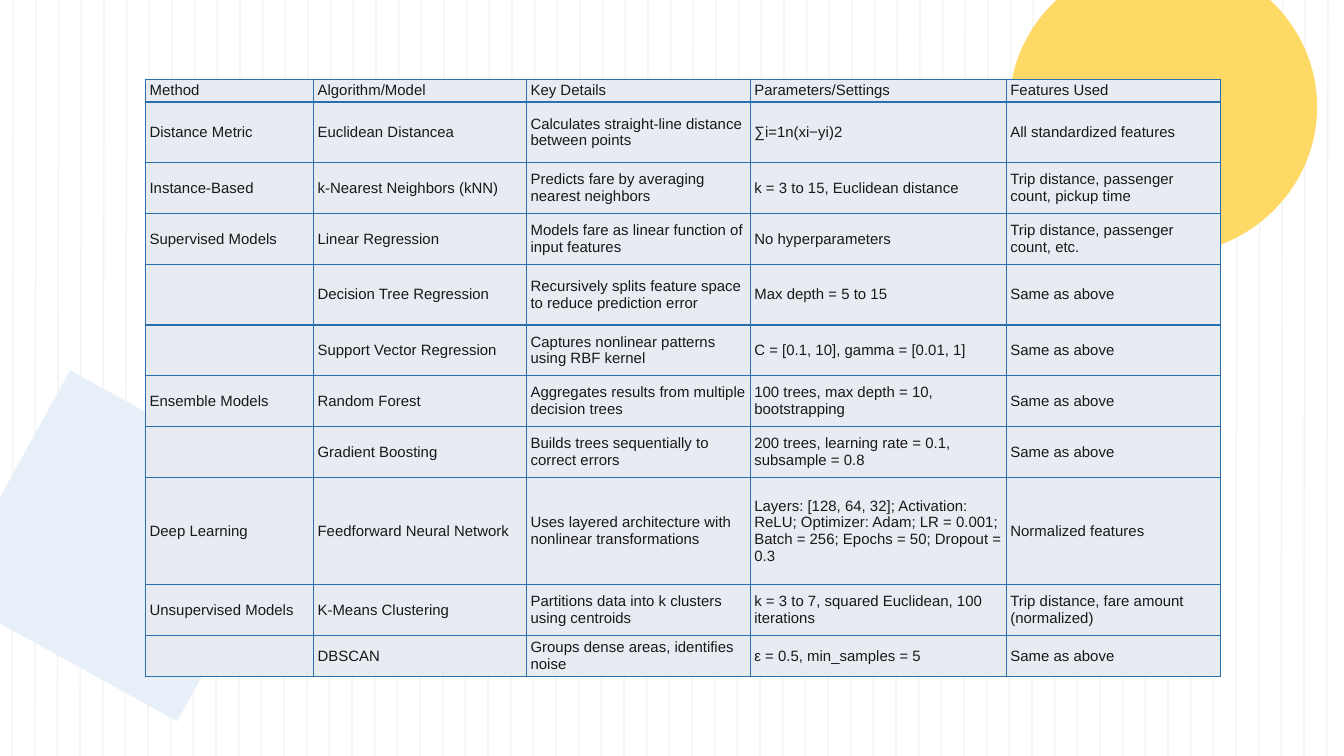
from lxml import etree
from pptx import Presentation
from pptx import util as u
from pptx.dml.color import RGBColor
from pptx.enum import shapes, text
from pptx.oxml import ns

STRIPE = RGBColor(0xF3, 0xF3, 0xF3)
YELLOW = RGBColor(0xFF, 0xD9, 0x66)
PALE_BLUE = RGBColor(0xE7, 0xF0, 0xF8)
BORDER = RGBColor(0x29, 0x70, 0xB1)
CELL = RGBColor(0xE8, 0xEB, 0xF2)
INK = RGBColor(0x18, 0x18, 0x18)

STRIPES = 59
# Column widths and row heights are percentages of the slide
COLUMNS = [12.5, 15.85, 16.65, 19.05, 15.95]
SAME = "Same as above"
ROWS = [
    (3, "Method", "Algorithm/Model", "Key Details", "Parameters/Settings",
     "Features Used"),
    (8, "Distance Metric", "Euclidean Distancea",
     "Calculates straight-line distance between points",
     "∑i=1n(xi−yi)2", "All standardized features"),
    (6.74, "Instance-Based", "k-Nearest Neighbors (kNN)",
     "Predicts fare by averaging nearest neighbors",
     "k = 3 to 15, Euclidean distance",
     "Trip distance, passenger count, pickup time"),
    (6.74, "Supervised Models", "Linear Regression",
     "Models fare as linear function of input features",
     "No hyperparameters", "Trip distance, passenger count, etc."),
    (8, "", "Decision Tree Regression",
     "Recursively splits feature space to reduce prediction error",
     "Max depth = 5 to 15", SAME),
    (6.74, "", "Support Vector Regression",
     "Captures nonlinear patterns using RBF kernel",
     "C = [0.1, 10], gamma = [0.01, 1]", SAME),
    (6.74, "Ensemble Models", "Random Forest",
     "Aggregates results from multiple decision trees",
     "100 trees, max depth = 10, bootstrapping", SAME),
    (6.74, "", "Gradient Boosting",
     "Builds trees sequentially to correct errors",
     "200 trees, learning rate = 0.1, subsample = 0.8", SAME),
    (14.17, "Deep Learning", "Feedforward Neural Network",
     "Uses layered architecture with nonlinear transformations",
     "Layers: [128, 64, 32]; Activation: ReLU; Optimizer: Adam; LR = 0.001; "
     "Batch = 256; Epochs = 50; Dropout = 0.3", "Normalized features"),
    (6.74, "Unsupervised Models", "K-Means Clustering",
     "Partitions data into k clusters using centroids",
     "k = 3 to 7, squared Euclidean, 100 iterations",
     "Trip distance, fare amount (normalized)"),
    (5.45, "", "DBSCAN", "Groups dense areas, identifies noise",
     "ε = 0.5, min_samples = 5", SAME),
]

prs = Presentation()
prs.slide_width = u.Inches(10)
prs.slide_height = u.Emu(prs.slide_width * 9 // 16)
s = prs.slides.add_slide(prs.slide_layouts[6])


def box(left, top, width, height):
    """Turn percentages of the slide into lengths."""
    w, h = prs.slide_width / 100, prs.slide_height / 100
    return [u.Emu(round(v)) for v in (left * w, top * h, width * w, height * h)]


def add_borders(cell):
    pr = cell._tc.get_or_add_tcPr()
    for i, side in enumerate(("lnL", "lnR", "lnT", "lnB")):
        ln = etree.Element(ns.qn(f"a:{side}"), w=str(u.Pt(1)))
        fill = etree.SubElement(ln, ns.qn("a:solidFill"))
        etree.SubElement(fill, ns.qn("a:srgbClr"), val=str(BORDER))
        pr.insert(i, ln)


# Striped background, each line leaning slightly to the left
for i in range(STRIPES):
    x = 1 + 97.8 * i / (STRIPES - 1)
    x1, y1, x2, y2 = box(x, -0.7, x - 0.1, 100.9)
    stripe = s.shapes.add_connector(shapes.MSO_CONNECTOR.STRAIGHT, x1, y1, x2, y2)
    stripe.line.color.rgb = STRIPE
    stripe.line.width = u.Pt(0.75)
    etree.SubElement(stripe._element.spPr, ns.qn("a:effectLst"))

# Yellow disc and tilted pale square
for kind, place, color, angle in [
    (shapes.MSO_SHAPE.OVAL, (75.1, -5.5, 22.9, 39.3), YELLOW, 0),
    (shapes.MSO_SHAPE.RECTANGLE, (-0.6, 55.3, 19.6, 33.8), PALE_BLUE, 28.9),
]:
    sp = s.shapes.add_shape(kind, *box(*place))
    sp.rotation = angle
    sp.fill.solid()
    sp.fill.fore_color.rgb = color
    sp.line.fill.background()
    sp.shadow.inherit = False

# Table of methods
place = box(10.83, 10.5, sum(COLUMNS), sum(row[0] for row in ROWS))
table = s.shapes.add_table(len(ROWS), len(COLUMNS), *place).table
for column, width in zip(table.columns, COLUMNS):
    column.width = box(0, 0, width, 0)[2]
for row, (height, *words) in zip(table.rows, ROWS):
    row.height = box(0, 0, 0, height)[3]
    for cell, word in zip(row.cells, words):
        cell.fill.solid()
        cell.fill.fore_color.rgb = CELL
        add_borders(cell)
        cell.margin_left = cell.margin_right = u.Inches(0.03)
        cell.margin_top = cell.margin_bottom = u.Inches(0.01)
        cell.vertical_anchor = text.MSO_ANCHOR.MIDDLE
        p = cell.text_frame.paragraphs[0]
        if word:
            p.text = word
            font = p.runs[0].font
            font.name, font.size, font.bold = "Arial", u.Pt(8), False
            font.color.rgb = INK
        else:
            # Keeps an empty cell from stretching its row
            etree.SubElement(p._p, ns.qn("a:endParaRPr"), sz="800")

prs.save("out.pptx")
